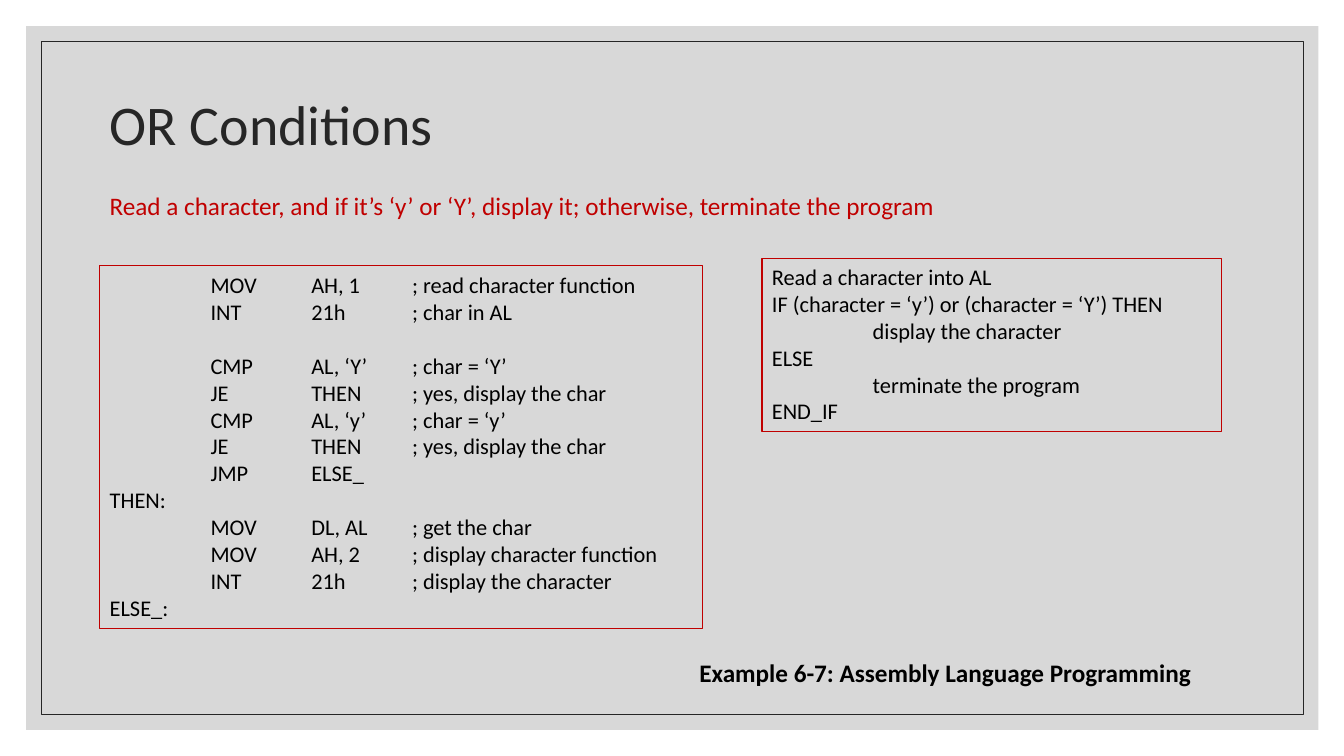
import pptx
import pptx.dml.color
import pptx.enum.shapes
import pptx.enum.text
import pptx.oxml
import pptx.oxml.ns
import pptx.util

Pt = pptx.util.Pt
COLORS = {"panel": "BFBFBF", "ink": "262626", "accent": "C00000", "text": "000000"}
FONT = "Calibri"
TAB = 72

PSEUDOCODE = [
    "Read a character into AL",
    "IF (character = ‘y’) or (character = ‘Y’) THEN",
    "\tdisplay the character",
    "ELSE",
    "\tterminate the program",
    "END_IF",
]
READ_CODE = [
    "\tMOV\tAH, 1\t; read character function",
    "\tINT\t21h\t; char in AL",
]
BRANCH_CODE = [
    "\tCMP\tAL, ‘Y’\t; char = ‘Y’",
    "\tJE\tTHEN\t; yes, display the char",
    "\tCMP\tAL, ‘y’\t; char = ‘y’",
    "\tJE\tTHEN\t; yes, display the char",
    "\tJMP\tELSE_",
    "THEN:",
    "\tMOV\tDL, AL\t; get the char",
    "\tMOV\tAH, 2\t; display character function",
    "\tINT\t21h\t; display the character",
    "ELSE_:",
]


def rgb(name):
    return pptx.dml.color.RGBColor.from_string(COLORS[name])


class SlideBuilder:
    def __init__(self, deck):
        self.page = deck.slides.add_slide(deck.slide_layouts[5])

    def set_text(self, shape, lines, size, color, bold=False):
        frame = shape.text_frame
        frame.word_wrap = True
        frame.vertical_anchor = pptx.enum.text.MSO_ANCHOR.TOP
        frame.text = "\n".join(lines)
        for para in frame.paragraphs:
            para.alignment = pptx.enum.text.PP_ALIGN.LEFT
            for span in para.runs:
                span.font.name = FONT
                span.font.size = Pt(size)
                span.font.bold = bold
                span.font.color.rgb = rgb(color)
        return frame

    def panel(self, left, top, width, height, fill=None, alpha=100, line=None, weight=0.75):
        box = self.page.shapes.add_shape(
            pptx.enum.shapes.MSO_SHAPE.RECTANGLE, Pt(left), Pt(top), Pt(width), Pt(height))
        box.shadow.inherit = False
        if fill:
            box.fill.solid()
            box.fill.fore_color.rgb = rgb(fill)
            shade = box.element.spPr.find(".//" + pptx.oxml.ns.qn("a:srgbClr"))
            shade.append(pptx.oxml.parse_xml(
                f'<a:alpha {pptx.oxml.ns.nsdecls("a")} val="{alpha * 1000}"/>'))
        else:
            box.fill.background()
        if line:
            box.line.color.rgb = rgb(line)
            box.line.width = Pt(weight)
        else:
            box.line.fill.background()
        return box

    def title(self, text, left, top, width, height):
        box = self.page.shapes.title
        box.left, box.top, box.width, box.height = Pt(left), Pt(top), Pt(width), Pt(height)
        frame = self.set_text(box, [text], 40, "ink")
        frame.vertical_anchor = pptx.enum.text.MSO_ANCHOR.MIDDLE
        frame.paragraphs[0].line_spacing = 0.9
        box.element.getparent().append(box.element)

    def label(self, text, left, top, width, height, color, bold=False):
        box = self.page.shapes.add_textbox(Pt(left), Pt(top), Pt(width), Pt(height))
        self.set_text(box, [text], 18, color, bold)

    def listing(self, lines, left, top, width, height):
        box = self.panel(left, top, width, height, line="accent")
        frame = self.set_text(box, lines, 16, "text")
        stops = "".join(f'<a:tab pos="{Pt(TAB * step)}" algn="l"/>' for step in (1, 2, 3))
        for para in frame.paragraphs:
            para._p.get_or_add_pPr().append(pptx.oxml.parse_xml(
                f'<a:tabLst {pptx.oxml.ns.nsdecls("a")}>{stops}</a:tabLst>'))
        return frame


def main():
    deck = pptx.Presentation()
    deck.slide_width, deck.slide_height = Pt(960), Pt(540)
    slide = SlideBuilder(deck)
    slide.panel(18.7, 18.7, 923, 502.6, fill="panel", alpha=60)
    slide.panel(29.5, 29.5, 901.5, 481, line="ink", weight=0.5)
    slide.title("OR Conditions", 71.3, 59.8, 648, 62.6)
    slide.label("Read a character, and if it’s ‘y’ or ‘Y’, display it; otherwise, terminate the program",
                71.3, 132.5, 669.6, 28.8, "accent")
    slide.listing(PSEUDOCODE, 544.3, 184.5, 328.3, 123.8)
    code = slide.listing(READ_CODE + BRANCH_CODE, 71.3, 190, 430.6, 259.2)
    code.paragraphs[len(READ_CODE)].space_before = Pt(19.5)
    slide.label("Example 6-7: Assembly Language Programming", 492.5, 465.8, 432, 28.8, "text", bold=True)
    deck.save("out.pptx")


if __name__ == "__main__":
    main()
